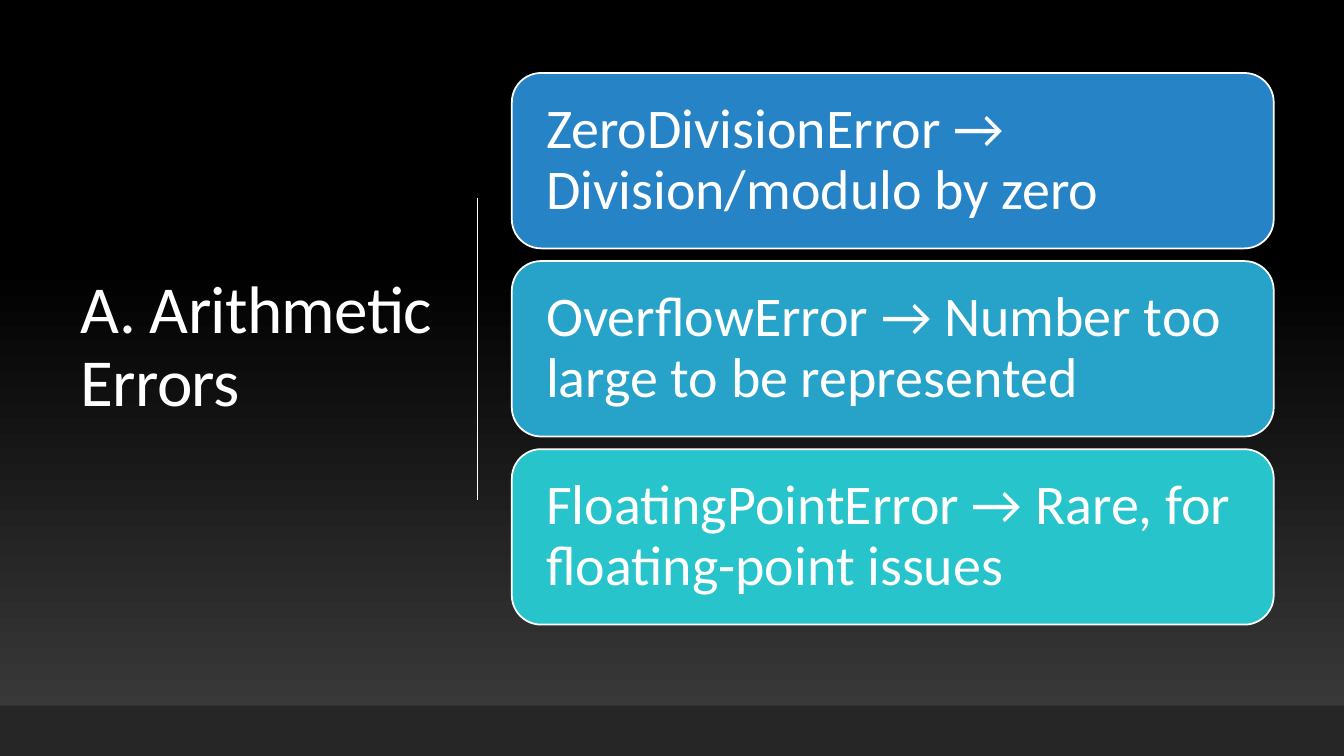
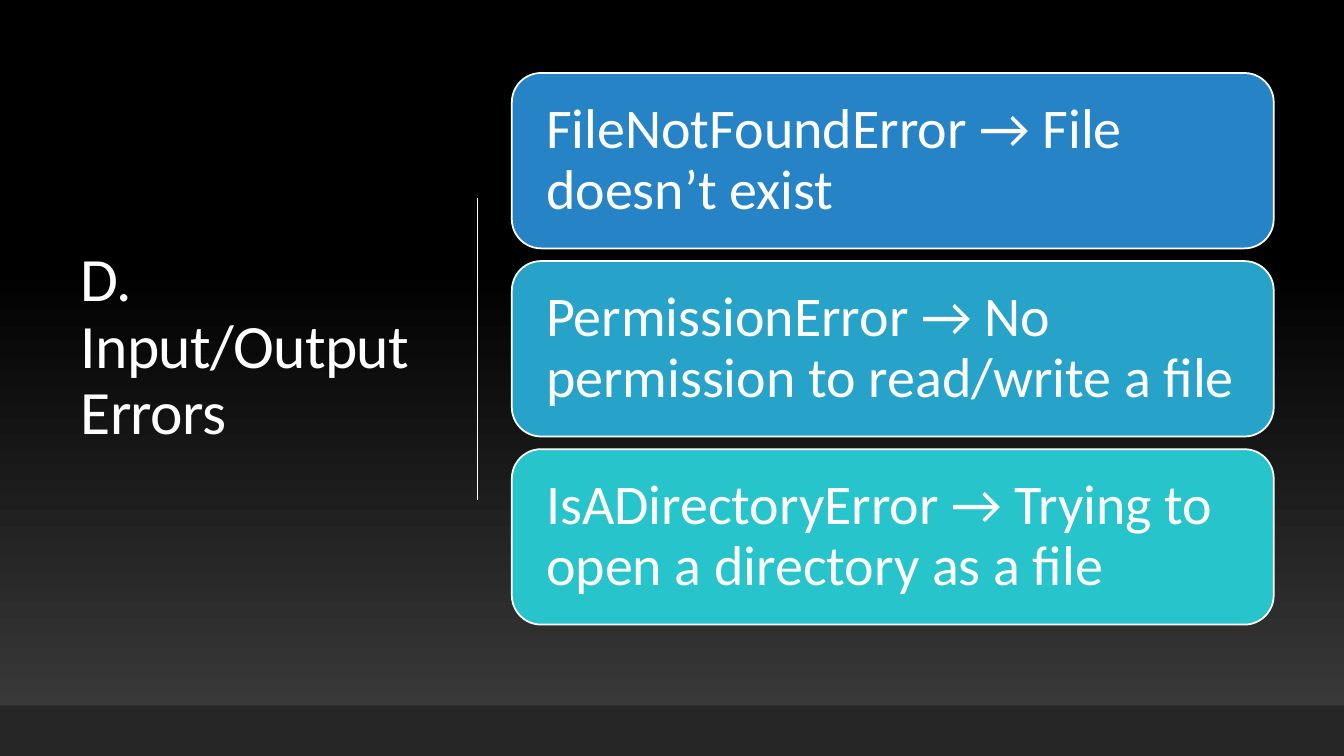
from pptx import Presentation
from pptx.dml.color import RGBColor
from pptx.enum import shapes, text
from pptx.util import Cm, Pt
from lxml import etree

WIDE, HIGH = 33.87, 19.05
FONT = "Calibri"
HUES = {
    "white": "FFFFFF", "black": "000000", "gray": "3F3F3F", "band": "262626",
    "blue": "2683C6", "sky": "27A3C9", "teal": "28C4CC",
}
CARDS = ("blue", "sky", "teal")
A_NS = "http://schemas.openxmlformats.org/drawingml/2006/main"

TOPICS = [
    ("A. Arithmetic Errors", 48, [
        "ZeroDivisionError → Division/modulo by zero",
        "OverflowError → Number too large to be represented",
        "FloatingPointError → Rare, for floating-point issues",
    ]),
    ("D. Input/Output Errors", 44, [
        "FileNotFoundError → File doesn’t exist",
        "PermissionError → No permission to read/write a file",
        "IsADirectoryError → Trying to open a directory as a file",
    ]),
]


def hue(name):
    return RGBColor.from_string(HUES[name])


def shade(master):
    """Give every slide a fade from gray at the foot to black."""
    fill = master.background.fill
    fill.gradient()
    fill.gradient_angle = 90
    for stop, name, place in zip(fill.gradient_stops, ("gray", "black"), (0, 0.65)):
        stop.color.rgb = hue(name)
        stop.position = place


def write(frame, words, size):
    frame.text = words
    frame.word_wrap = True
    frame.auto_size = text.MSO_AUTO_SIZE.NONE
    frame.vertical_anchor = text.MSO_ANCHOR.MIDDLE
    para = frame.paragraphs[0]
    para.alignment = text.PP_ALIGN.LEFT
    para.line_spacing = 0.9
    font = para.runs[0].font
    font.name, font.size = FONT, Pt(size)
    font.color.rgb = hue("white")
    return para.runs[0]


def block(slide, kind, box, name):
    shape = slide.shapes.add_shape(kind, *map(Cm, box))
    shape.shadow.inherit = False
    shape.fill.solid()
    shape.fill.fore_color.rgb = hue(name)
    shape.line.fill.background()
    return shape


def head(slide, words, size, box):
    title = slide.shapes.title
    title.left, title.top, title.width, title.height = map(Cm, box)
    run = write(title.text_frame, words, size)
    run.font._element.set("spc", "-50")


def rule(slide, x, top, tall):
    line = slide.shapes.add_connector(
        shapes.MSO_CONNECTOR.STRAIGHT, Cm(x), Cm(top), Cm(x), Cm(top + tall))
    line.line.color.rgb = hue("white")
    line.line.width = Pt(1)
    etree.SubElement(line._element.spPr, f"{{{A_NS}}}effectLst")


def stack(slide, items, box, gap=0.32, inset=0.65):
    """Fill the box with equal cards, one below the other."""
    left, top, wide, tall = box
    each = (tall - gap * (len(items) - 1)) / len(items)
    for i, (words, name) in enumerate(zip(items, CARDS)):
        spot = (left, top + i * (each + gap), wide, each)
        card = block(slide, shapes.MSO_SHAPE.ROUNDED_RECTANGLE, spot, name)
        card.line.color.rgb = hue("white")
        card.line.width = Pt(1.25)
        frame = card.text_frame
        frame.margin_left = frame.margin_right = Cm(inset)
        frame.margin_top = frame.margin_bottom = Cm(inset)
        write(frame, words, 40)


def topic(deck, words, size, items):
    slide = deck.slides.add_slide(deck.slide_layouts[5])
    head(slide, words, size, (1.78, 1.75, 9.37, 14.05))
    rule(slide, 12.04, 4.98, 7.62)
    block(slide, shapes.MSO_SHAPE.RECTANGLE, (0, HIGH - 1.27, WIDE, 1.27), "band")
    stack(slide, items, (12.9, 1.84, 19.2, 13.9))


def main():
    deck = Presentation()
    deck.slide_width, deck.slide_height = Cm(WIDE), Cm(HIGH)
    shade(deck.slide_master)
    for words, size, items in TOPICS:
        topic(deck, words, size, items)
    deck.save("out.pptx")


if __name__ == "__main__":
    main()
